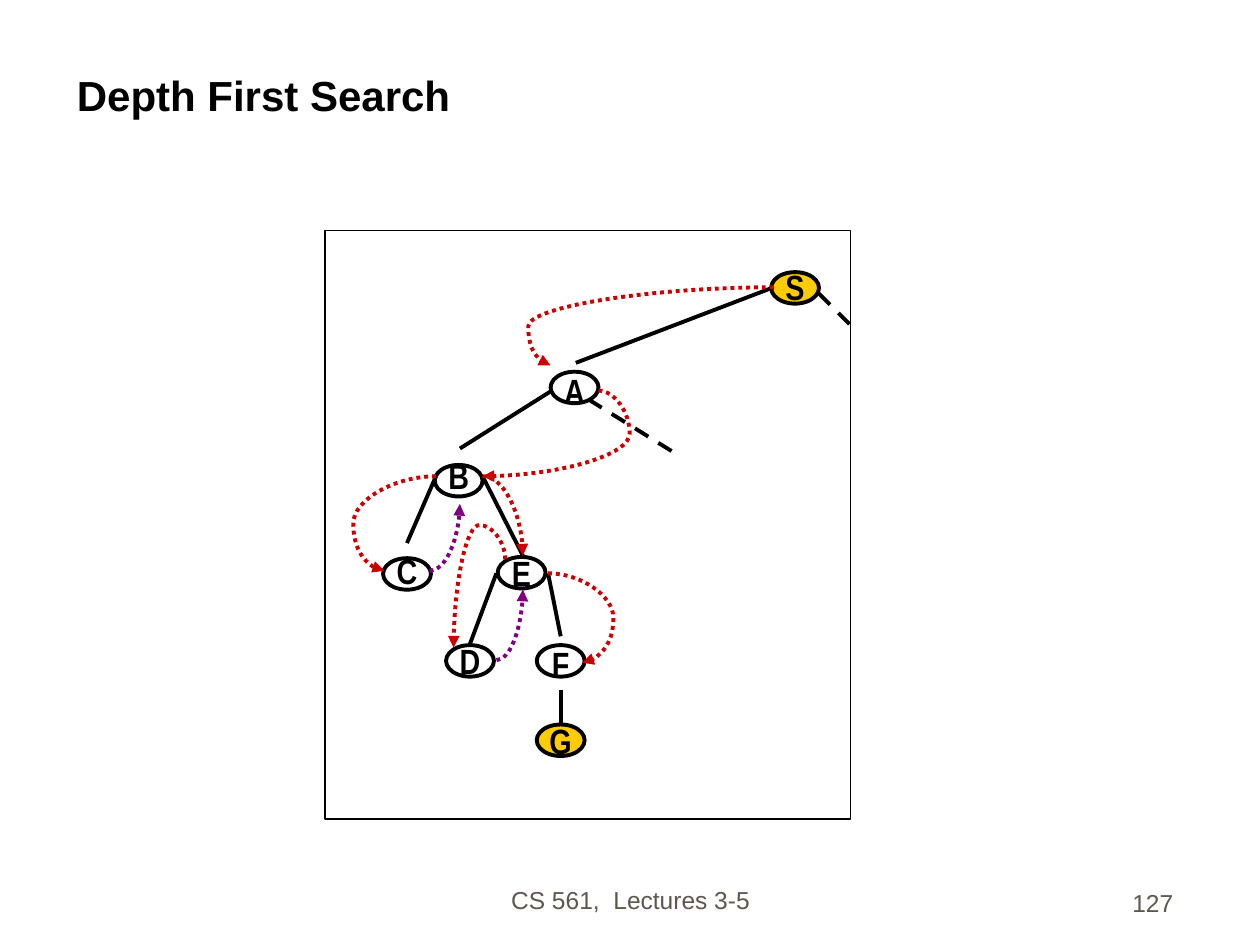
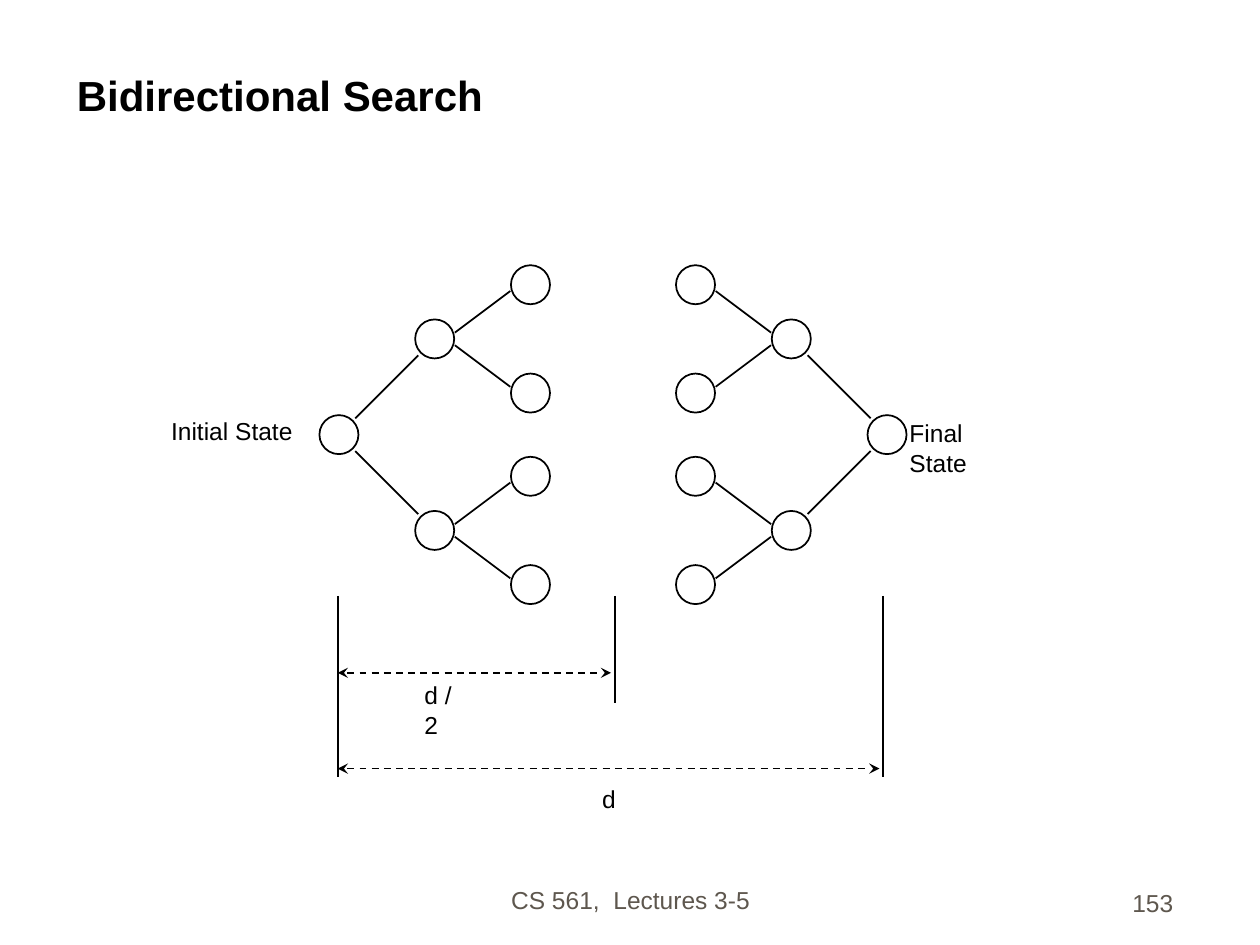
import lxml.etree
import pptx
import pptx.dml.color
import pptx.enum.shapes
import pptx.enum.text
import pptx.oxml.ns
import pptx.util

Inches = pptx.util.Inches
qn = pptx.oxml.ns.qn
Align = pptx.enum.text.PP_ALIGN
Anchor = pptx.enum.text.MSO_ANCHOR
Shape = pptx.enum.shapes.MSO_SHAPE
Connector = pptx.enum.shapes.MSO_CONNECTOR

COLORS = {
    "ink": "000000",
    "paper": "FFFFFF",
    "footer": "5E574E",
    "endpoint": "FFCC00",
    "descend": "CC0000",
    "backtrack": "800080",
}


def rgb(name):
    """Return the named colour."""
    return pptx.dml.color.RGBColor.from_string(COLORS[name])


def write(shape, text, size=14, font="Arial", color="ink", bold=False,
          align=Align.LEFT, anchor=Anchor.TOP, wrap=True):
    """Put formatted text into a shape."""
    frame = shape.text_frame
    frame.word_wrap = wrap
    frame.vertical_anchor = anchor
    paragraph = frame.paragraphs[0]
    paragraph.alignment = align
    run = paragraph.add_run()
    run.text = text
    run.font.size = pptx.util.Pt(size)
    run.font.name = font
    run.font.bold = bold
    run.font.color.rgb = rgb(color)


def add_text(slide, text, left, top, width, height, **text_format):
    """Add a text box."""
    box = slide.shapes.add_textbox(
        Inches(left), Inches(top), Inches(width), Inches(height))
    write(box, text, **text_format)


def add_outline(slide, kind, left, top, width, height, weight, fill=None):
    """Add a black-edged preset shape and return it."""
    shape = slide.shapes.add_shape(
        kind, Inches(left), Inches(top), Inches(width), Inches(height))
    shape.shadow.inherit = False
    if fill:
        shape.fill.solid()
        shape.fill.fore_color.rgb = rgb(fill)
    else:
        shape.fill.background()
    shape.line.color.rgb = rgb("ink")
    shape.line.width = pptx.util.Pt(weight)
    return shape


def add_line(slide, begin, end, weight, color="ink", dash=None, head=None,
             tail=None, kind=Connector.STRAIGHT):
    """Add a connector and return it."""
    connector = slide.shapes.add_connector(
        kind, *[Inches(value) for value in (*begin, *end)])
    connector.line.color.rgb = rgb(color)
    connector.line.width = pptx.util.Pt(weight)
    line = connector.line._get_or_add_ln()
    if dash:
        lxml.etree.SubElement(line, qn("a:prstDash")).set("val", dash)
    for tag, arrow in (("a:headEnd", head), ("a:tailEnd", tail)):
        if arrow:
            lxml.etree.SubElement(line, qn(tag)).set("type", arrow)
    lxml.etree.SubElement(connector._element.spPr, qn("a:effectLst"))
    return connector


def add_curve(slide, begin, end, color, bend=None, upright=False):
    """Add a dotted curved arrow; without a bend it is a quarter turn."""
    if upright:
        center_x, center_y = [(a + b) / 2 for a, b in zip(begin, end)]
        shift_x, shift_y = begin[0] - center_x, begin[1] - center_y
        begin = center_x - shift_y, center_y + shift_x
        end = center_x + shift_y, center_y - shift_x
    connector = add_line(slide, begin, end, 2.25, color, "sysDot",
                         tail="triangle", kind=Connector.CURVE)
    properties = connector._element.spPr
    geometry = properties.find(qn("a:prstGeom"))
    if upright:
        properties.find(qn("a:xfrm")).set("rot", str(270 * 60000))
    if bend is None:
        geometry.set("prst", "curvedConnector2")
    else:
        guide = lxml.etree.SubElement(geometry.find(qn("a:avLst")), qn("a:gd"))
        guide.set("name", "adj1")
        guide.set("fmla", f"val {round(bend * 100000)}")


def add_titled_slide(presentation, title, number):
    """Add a slide with its title, footer and number."""
    slide = presentation.slides.add_slide(presentation.slide_layouts[5])
    shape = slide.shapes.title
    shape.left, shape.top = Inches(0.51), Inches(0.25)
    shape.width, shape.height = Inches(8.92), Inches(0.75)
    write(shape, title, size=24, bold=True, anchor=Anchor.BOTTOM)
    add_text(slide, "CS 561,  Lectures 3-5", 3.42, 6.81, 3.17, 0.5,
             color="footer", align=Align.CENTER, anchor=Anchor.BOTTOM)
    add_text(slide, str(number), 7.33, 6.83, 2.08, 0.5,
             color="footer", align=Align.RIGHT, anchor=Anchor.BOTTOM)
    return slide


def add_tree_node(slide, name, left, top, label_shift, fill):
    """Add a lettered ellipse; a label shift puts the letter in its own box."""
    letter = dict(size=20, font="Arial Narrow", bold=True,
                  align=Align.CENTER, wrap=False)
    ellipse = add_outline(slide, Shape.OVAL, left, top, 0.38, 0.25, 2.25, fill)
    if label_shift is None:
        write(ellipse, name, anchor=Anchor.MIDDLE, **letter)
    else:
        add_text(slide, name, left, top + label_shift, 0.38, 0.43, **letter)


def draw_depth_first_tree(slide, left, top, width, height):
    """Draw the framed search tree with its visiting order."""
    def at(point):
        return left + point[0], top + point[1]

    nodes = [
        ("S", 3.54, 0.33, -0.1, "endpoint"), ("A", 1.79, 1.12, -0.07, None),
        ("B", 0.87, 1.86, -0.13, None), ("C", 0.46, 2.6, -0.12, None),
        ("E", 1.37, 2.59, None, None), ("D", 0.96, 3.29, None, None),
        ("F", 1.68, 3.29, -0.07, None), ("G", 1.68, 3.92, None, "endpoint"),
    ]
    edges = [
        ((3.56, 0.45), (1.99, 1.05), None), ((1.8, 1.27), (1.07, 1.73), None),
        ((0.88, 1.95), (0.65, 2.48), None), ((1.25, 1.95), (1.57, 2.58), None),
        ((1.36, 2.72), (1.15, 3.28), None), ((1.77, 2.72), (1.87, 3.22), None),
        ((1.87, 3.65), (1.87, 3.91), None),
        ((2.09, 1.34), (2.75, 1.75), "dash"),
        ((3.92, 0.5), (4.17, 0.75), "dash"),
    ]
    visits = [
        ((3.56, 0.45), (1.79, 1.07), "descend", 1.1),
        ((2.17, 1.27), (1.25, 1.95), "descend", -0.27),
        ((0.88, 1.95), (0.47, 2.7), "descend", 1.6),
        ((0.83, 2.7), (1.07, 2.17), "backtrack", None),
        ((1.25, 1.95), (1.57, 2.58), "descend", None),
        ((1.43, 2.61), (1.02, 3.31), "descend", -0.39, True),
        ((1.36, 3.41), (1.57, 2.85), "backtrack", None),
        ((1.77, 2.72), (2.04, 3.43), "descend", 1.92),
    ]
    add_outline(slide, Shape.RECTANGLE, left, top, width, height, 0.75, "paper")
    for name, x, y, label_shift, fill in nodes:
        add_tree_node(slide, name, *at((x, y)), label_shift, fill)
    for begin, end, dash in edges:
        add_line(slide, at(begin), at(end), 2.25, dash=dash)
    for begin, end, *style in visits:
        add_curve(slide, at(begin), at(end), *style)


def draw_branches(slide, x, y, direction, levels):
    """Draw a node and, level by level, the two children of each node."""
    size, step = 0.31, 0.76
    add_outline(slide, Shape.OVAL, x - size / 2, y - size / 2, size, size, 1)
    if not levels:
        return
    (spread, gap_x, gap_y), *deeper = levels
    child_x = x + direction * step
    for side in (-1, 1):
        child_y = y + side * spread
        add_line(slide, (x + direction * gap_x, y + side * gap_y),
                 (child_x - direction * gap_x, child_y - side * gap_y), 1)
        draw_branches(slide, child_x, child_y, direction, deeper)


def draw_distances(slide, left, top, width):
    """Draw the dimension lines for the full and half depth."""
    middle = left + 2.2
    right = left + width
    for x, length in ((left, 1.44), (middle, 0.85), (right, 1.44)):
        add_line(slide, (x, top), (x, top + length), 1)
    for end, drop in ((middle, 0.61), (right, 1.37)):
        add_line(slide, (left, top + drop), (end - 0.03, top + drop), 1,
                 dash="dash", head="stealth", tail="stealth")
    add_text(slide, "d / 2", left + 0.59, top + 0.62, 0.55, 0.33)
    add_text(slide, "d", left + 2, top + 1.44, 0.31, 0.33, wrap=False)


def draw_bidirectional_search(slide, left, top, width):
    """Draw two facing trees, their state labels and the distances."""
    levels = [(0.76, 0.13, 0.13), (0.43, 0.16, 0.05)]
    root_y = top + 1.35
    draw_branches(slide, left + 0.15, root_y, 1, levels)
    draw_branches(slide, left + width - 0.15, root_y, -1, levels)
    add_text(slide, "Initial State", left - 1.28, top + 1.15, 3.36, 0.33)
    add_text(slide, "Final State", left + width - 0.07, top + 1.17, 1.1, 0.33)
    draw_distances(slide, left + 0.14, top + 2.63, width - 0.32)


def main():
    """Build and save the presentation."""
    presentation = pptx.Presentation()
    presentation.slide_width = Inches(10)
    presentation.slide_height = Inches(7.5)
    slide = add_titled_slide(presentation, "Depth First Search", 127)
    draw_depth_first_tree(slide, 2.58, 1.83, 4.17, 4.67)
    slide = add_titled_slide(presentation, "Bidirectional Search", 153)
    draw_bidirectional_search(slide, 2.54, 2.1, 4.65)
    presentation.save("out.pptx")


if __name__ == "__main__":
    main()
